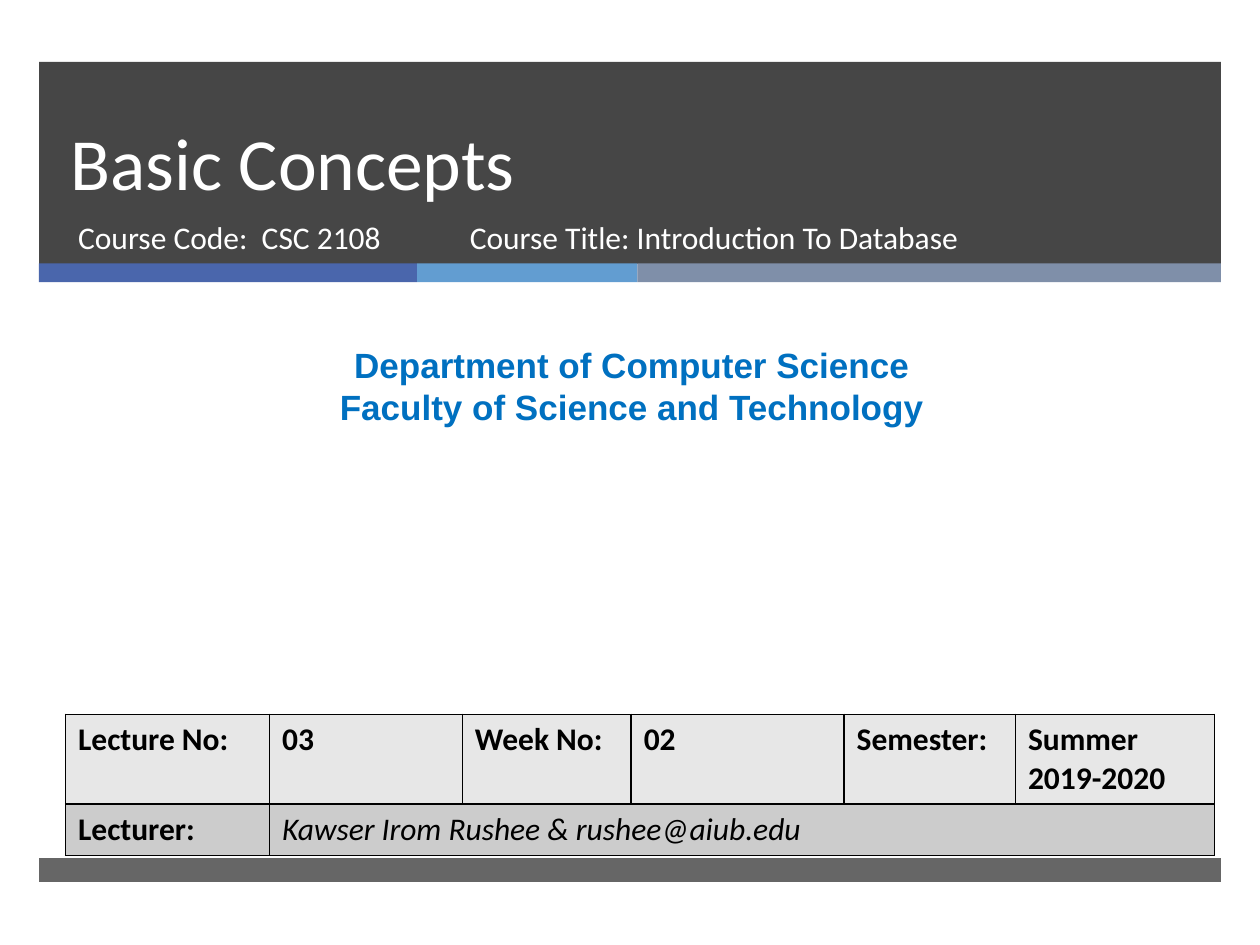
from pptx import Presentation, util as u
from pptx.dml.color import RGBColor
from pptx.enum import shapes, text
from pptx.oxml import ns
from lxml import etree

WHITE = RGBColor(0xFF, 0xFF, 0xFF)
BLACK = RGBColor(0, 0, 0)
CHARCOAL = RGBColor(0x26, 0x26, 0x26)
INDIGO = RGBColor(0x4A, 0x66, 0xAC)
SKY = RGBColor(0x62, 0x9D, 0xD1)
SLATE = RGBColor(0x7F, 0x8F, 0xA9)
DEPARTMENT_BLUE = RGBColor(0x00, 0x70, 0xC0)
LIGHT_GRAY = RGBColor(0xE7, 0xE7, 0xE7)
MID_GRAY = RGBColor(0xCC, 0xCC, 0xCC)

COLUMNS, ROWS = 100, 75
BASE = {"name": "Calibri", "size": u.Pt(18), "bold": False, "italic": False}
LEFT, CENTER = text.PP_ALIGN.LEFT, text.PP_ALIGN.CENTER
TOP, BOTTOM = text.MSO_ANCHOR.TOP, text.MSO_ANCHOR.BOTTOM


class SlideBuilder:
    def __init__(self, presentation):
        self.slide = presentation.slides.add_slide(presentation.slide_layouts[0])
        self.column = presentation.slide_width / COLUMNS
        self.row = presentation.slide_height / ROWS

    def box(self, left, top, width, height):
        return (round(left * self.column), round(top * self.row),
                round(width * self.column), round(height * self.row))

    def style(self, paragraph, color, align=LEFT, **changes):
        paragraph.alignment = align
        for key, value in {**BASE, **changes}.items():
            setattr(paragraph.font, key, value)
        paragraph.font.color.rgb = color

    def band(self, area, color, opacity=100):
        shape = self.slide.shapes.add_shape(shapes.MSO_SHAPE.RECTANGLE, *self.box(*area))
        shape.shadow.inherit = False
        shape.line.fill.background()
        shape.fill.solid()
        shape.fill.fore_color.rgb = color
        if opacity < 100:
            fill_color = shape.element.spPr.find(".//" + ns.qn("a:srgbClr"))
            etree.SubElement(fill_color, ns.qn("a:alpha"), val=str(opacity * 1000))

    def fill_text(self, shape, lines, color, anchor=TOP, line_spacing=None, **changes):
        frame = shape.text_frame
        frame.text = "\n".join(lines)
        frame.word_wrap = True
        frame.auto_size = text.MSO_AUTO_SIZE.NONE
        frame.vertical_anchor = anchor
        for paragraph in frame.paragraphs:
            paragraph.space_before = u.Pt(0)
            paragraph.line_spacing = line_spacing
            self.style(paragraph, color, **changes)

    def placeholder(self, index, area, line, color, **changes):
        shape = self.slide.placeholders[index]
        shape.left, shape.top, shape.width, shape.height = self.box(*area)
        self.slide.shapes.element.append(shape.element)
        self.fill_text(shape, [line], color, **changes)

    def text_box(self, area, lines, color, **changes):
        shape = self.slide.shapes.add_textbox(*self.box(*area))
        self.fill_text(shape, lines, color, **changes)

    def border(self, cell):
        properties = cell._tc.get_or_add_tcPr()
        for side in ("lnL", "lnR", "lnT", "lnB"):
            line = etree.SubElement(properties, ns.qn("a:" + side), w=str(int(u.Pt(1))))
            fill = etree.SubElement(line, ns.qn("a:solidFill"))
            etree.SubElement(fill, ns.qn("a:srgbClr"), val=str(BLACK))

    def table(self, left, top, widths, heights, rows, fills):
        area = self.box(left, top, sum(widths), sum(heights))
        table = self.slide.shapes.add_table(len(rows), len(widths), *area).table
        for column, width in zip(table.columns, widths):
            column.width = round(width * self.column)
        for row, height, entries, color in zip(table.rows, heights, rows, fills):
            row.height = round(height * self.row)
            for cell in row.cells:
                self.border(cell)
                cell.fill.solid()
                cell.fill.fore_color.rgb = color
            for cell, entry in zip(row.cells, entries):
                cell.text = entry
                self.style(cell.text_frame.paragraphs[0], BLACK, bold=True)
        return table


def main():
    presentation = Presentation()
    presentation.slide_width, presentation.slide_height = u.Inches(10), u.Inches(7.5)
    builder = SlideBuilder(presentation)

    margin, band_width = 3.1, 93.8
    builder.band((margin, 4.9, band_width, 16.05), CHARCOAL, opacity=85)
    left = margin
    for width, color in ((30, INDIGO), (17.5, SKY), (46.3, SLATE)):
        builder.band((left, 20.9, width, 1.5), color)
        left += width
    builder.band((margin, 68.1, band_width, 1.9), CHARCOAL, opacity=70)

    builder.placeholder(0, (4.6, 4.9, 85.4, 11.9), "Basic Concepts", WHITE,
                        anchor=BOTTOM, line_spacing=u.Pt(46), size=u.Pt(42))
    builder.placeholder(1, (5.2, 16.8, 30.5, 5.3), "Course Code:  CSC 2108", WHITE)
    builder.text_box((0.8, 26.8, 98.7, 7.7),
                     ["Department of Computer Science", "Faculty of Science and Technology"],
                     DEPARTMENT_BLUE, align=CENTER, name="Arial", size=u.Pt(20), bold=True)

    table = builder.table(
        5.2, 56.7, (16.2, 15.3, 13.4, 16.9, 13.6, 15.8), (7, 4.1),
        (("Lecture No:", "03", "Week No:", "02", "Semester:", "Summer 2019-2020"),
         ("Lecturer:", "Kawser Irom Rushee & rushee@aiub.edu")),
        (LIGHT_GRAY, MID_GRAY))
    lecturer = table.cell(1, 1)
    lecturer.merge(table.cell(1, 5))
    builder.style(lecturer.text_frame.paragraphs[0], BLACK, italic=True)

    builder.text_box((36.3, 16.8, 45.5, 5.3), ["Course Title: Introduction To Database"], WHITE)
    presentation.save("out.pptx")


if __name__ == "__main__":
    main()
